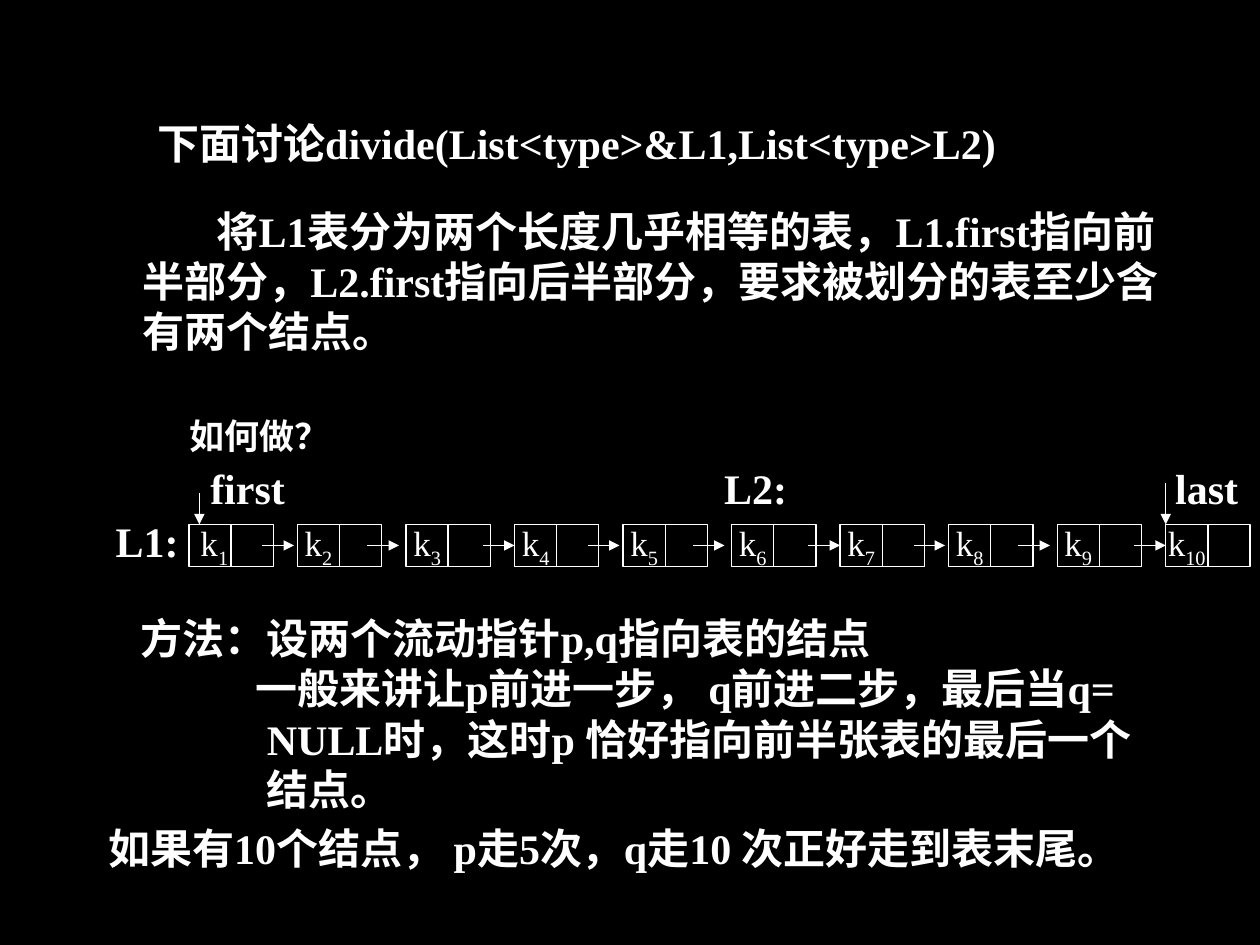
import pptx
import pptx.dml.color
import pptx.enum.shapes
import pptx.enum.text
import pptx.oxml.ns
import pptx.util
from lxml import etree

Cm = pptx.util.Cm
WHITE = "FFFFFF"
NODE_COUNT = 10
FIRST_LEFT = 3.81
LAST_LEFT = 23.5
PITCH = (LAST_LEFT - FIRST_LEFT) / (NODE_COUNT - 1)
CELL_TOP = 10.57
CELL_SIDE = 0.85
GRID = 2.54 / 12


def colour(value):
    return pptx.dml.color.RGBColor.from_string(value)


def add_span(para, text, size=24, bold=True, subscript=False):
    span = para.add_run()
    span.text = text
    span.font.size = pptx.util.Pt(size)
    span.font.bold = bold
    span.font.name = "Times New Roman"
    span.font.color.rgb = colour(WHITE)
    if subscript:
        span._r.get_or_add_rPr().set("baseline", "-25000")


def format_para(para, text, indent=0, before=0, **style):
    if indent:
        para._p.get_or_add_pPr().set("marL", str(Cm(indent)))
    if before:
        para.space_before = pptx.util.Pt(before)
    add_span(para, text, **style)


def add_text(page, left, top, width, height, lines, wrap=False):
    box = page.shapes.add_textbox(Cm(left), Cm(top), Cm(width), Cm(height))
    frame = box.text_frame
    frame.word_wrap = wrap
    frame.auto_size = pptx.enum.text.MSO_AUTO_SIZE.SHAPE_TO_FIT_TEXT
    for index, (text, style) in enumerate(lines):
        para = frame.add_paragraph() if index else frame.paragraphs[0]
        format_para(para, text, **style)


def add_cell(page, left):
    cell = page.shapes.add_shape(
        pptx.enum.shapes.MSO_SHAPE.RECTANGLE,
        Cm(left), Cm(CELL_TOP), Cm(CELL_SIDE), Cm(CELL_SIDE),
    )
    cell.shadow.inherit = False
    cell.fill.background()
    cell.line.color.rgb = colour(WHITE)
    cell.line.width = pptx.util.Pt(0.75)
    return cell


def add_node(page, number):
    left = FIRST_LEFT + (number - 1) * PITCH
    key_cell = add_cell(page, left)
    add_cell(page, left + CELL_SIDE)
    frame = key_cell.text_frame
    frame.word_wrap = False
    frame.vertical_anchor = pptx.enum.text.MSO_ANCHOR.MIDDLE
    para = frame.paragraphs[0]
    para.alignment = pptx.enum.text.PP_ALIGN.CENTER
    add_span(para, " k" if number == 1 else "k", size=20, bold=False)
    add_span(para, str(number), size=20, bold=False, subscript=True)
    return key_cell


def add_arrow(page, start_x, start_y, end_x, end_y):
    arrow = page.shapes.add_connector(
        pptx.enum.shapes.MSO_CONNECTOR.STRAIGHT,
        Cm(start_x), Cm(start_y), Cm(end_x), Cm(end_y),
    )
    arrow.line.color.rgb = colour(WHITE)
    arrow.line.width = pptx.util.Pt(0.75)
    head = etree.SubElement(arrow.line._get_or_add_ln(), pptx.oxml.ns.qn("a:tailEnd"))
    head.set("type", "triangle")
    etree.SubElement(arrow._element.spPr, pptx.oxml.ns.qn("a:effectLst"))
    return arrow


def add_linked_list(page):
    key_cells = [add_node(page, number) for number in range(1, NODE_COUNT + 1)]
    middle = CELL_TOP + CELL_SIDE / 2
    for index, next_cell in enumerate(key_cells[1:]):
        start = (25 + 10 * index + (index + 1) // 3) * GRID
        arrow = add_arrow(page, start, middle, start + 3 * GRID, middle)
        if index % 3 == 2:
            arrow.end_connect(next_cell, 1)
    add_arrow(page, 4.02, 9.93, 4.02, CELL_TOP)
    add_arrow(page, LAST_LEFT, 9.73, LAST_LEFT, CELL_TOP)


def main():
    deck = pptx.Presentation()
    deck.slide_width, deck.slide_height = Cm(25.4), Cm(19.05)
    page = deck.slides.add_slide(deck.slide_layouts[6])
    page.background.fill.solid()
    page.background.fill.fore_color.rgb = colour("000000")

    add_text(page, 2.92, 2.24, 19.94, 1.27, [
        ("下面讨论divide(List<type>&L1,List<type>L2)", {}),
    ], wrap=True)
    add_text(page, 2.62, 4.01, 22, 5.33, [
        ("将L1表分为两个长度几乎相等的表，L1.first指向前", {"indent": 1.5}),
        ("半部分，L2.first指向后半部分，要求被划分的表至少含", {}),
        ("有两个结点。", {}),
        ("如何做？", {"indent": 0.95, "before": 33, "size": 20}),
    ])
    add_text(page, 2.59, 12.22, 21.16, 4.32, [
        ("方法：设两个流动指针p,q指向表的结点", {}),
        ("一般来讲让p前进一步， q前进二步，最后当q=", {"indent": 2.31}),
        ("NULL时，这时p 恰好指向前半张表的最后一个", {"indent": 2.54}),
        ("结点。", {"indent": 2.54}),
    ])
    add_text(page, 1.93, 16.46, 22.94, 1.27, [
        ("如果有10个结点， p走5次，q走10 次正好走到表末尾。", {}),
    ])
    for label, left, top, width in [
        ("first", 3.99, 9.19, 2.01),
        ("last", 23.44, 9.19, 1.78),
        ("L2:", 14.35, 9.19, 1.78),
        ("L1:", 2.08, 10.26, 1.78),
    ]:
        add_text(page, left, top, width, 1.27, [(label, {})])
    add_linked_list(page)
    deck.save("out.pptx")


if __name__ == "__main__":
    main()
